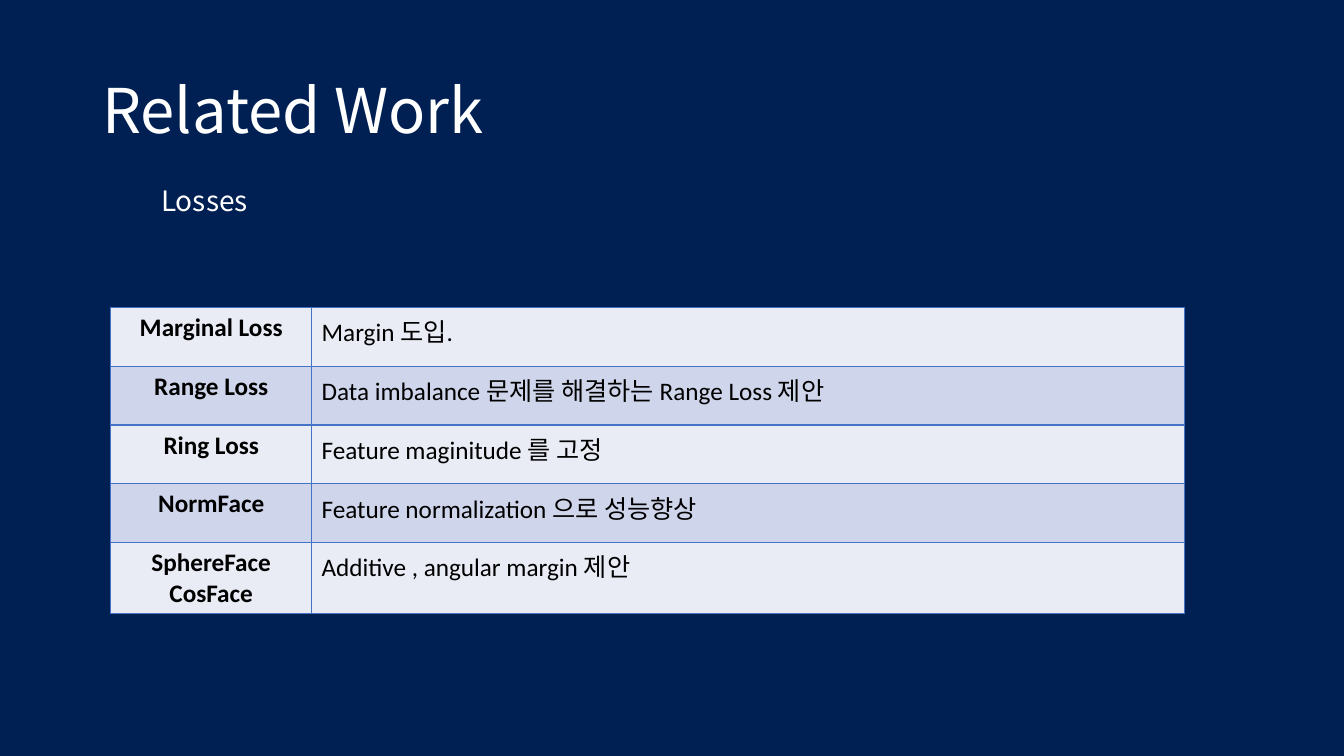
"""Build the Related Work slide with its table of losses."""
from lxml.etree import SubElement
from pptx import Presentation
from pptx.dml.color import RGBColor
from pptx.enum.text import MSO_ANCHOR, PP_ALIGN
from pptx.oxml.ns import qn
from pptx.util import Pt

TITLE = "Related Work"
SUBTITLE = "Losses"
LOSSES = [
    ("Marginal Loss", "Margin 도입."),
    ("Range Loss", "Data imbalance 문제를 해결하는 Range Loss 제안"),
    ("Ring Loss", "Feature maginitude 를 고정"),
    ("NormFace", "Feature normalization 으로 성능향상"),
    ("SphereFace\nCosFace", "Additive , angular margin 제안"),
]
COLORS = {
    "background": "001F53",
    "heading": "FFFFFF",
    "text": "000000",
    "border": "4472C4",
    "bands": ("E9EBF5", "CFD5EA"),
}
HEADING_FONT = "Noto Sans CJK KR"
TABLE_FONT = "Calibri"
TABLE_LEFT, TABLE_TOP = 79.2, 219.6
COLUMN_WIDTHS = (143.4, 623.6)
ROW_HEIGHT = 42
BORDER_WIDTH = 1


def style(paragraph, font_name, size, color, bold=False):
    font = paragraph.font
    font.name, font.size, font.bold = font_name, Pt(size), bold
    font.color.rgb = RGBColor.from_string(color)
    properties = paragraph._p.pPr.find(qn("a:defRPr"))
    SubElement(properties, qn("a:ea"), typeface=HEADING_FONT)


def add_heading(slide, text, box, size, wrap, anchor, line_spacing):
    shape = slide.shapes.add_textbox(*map(Pt, box))
    frame = shape.text_frame
    frame.word_wrap, frame.vertical_anchor = wrap, anchor
    frame.text = text
    paragraph = frame.paragraphs[0]
    paragraph.line_spacing = line_spacing
    style(paragraph, HEADING_FONT, size, COLORS["heading"])


def add_borders(cell):
    properties = cell._tc.get_or_add_tcPr()
    for side in ("lnL", "lnR", "lnT", "lnB"):
        line = SubElement(properties, qn(f"a:{side}"), w=str(Pt(BORDER_WIDTH)))
        fill = SubElement(line, qn("a:solidFill"))
        SubElement(fill, qn("a:srgbClr"), val=COLORS["border"])


def add_loss_table(slide):
    shape = slide.shapes.add_table(
        len(LOSSES), len(COLUMN_WIDTHS), Pt(TABLE_LEFT), Pt(TABLE_TOP),
        Pt(sum(COLUMN_WIDTHS)), Pt(ROW_HEIGHT * len(LOSSES)))
    table = shape.table
    table.first_row = table.horz_banding = False
    for column, width in zip(table.columns, COLUMN_WIDTHS):
        column.width = Pt(width)
    for row_index, loss in enumerate(LOSSES):
        band = COLORS["bands"][row_index % 2]
        for column_index, text in enumerate(loss):
            is_name = column_index == 0
            cell = table.cell(row_index, column_index)
            add_borders(cell)
            cell.fill.solid()
            cell.fill.fore_color.rgb = RGBColor.from_string(band)
            cell.text = text
            for paragraph in cell.text_frame.paragraphs:
                paragraph.alignment = PP_ALIGN.CENTER if is_name else PP_ALIGN.LEFT
                style(paragraph, TABLE_FONT, 18, COLORS["text"], is_name)


def main():
    presentation = Presentation()
    presentation.slide_width, presentation.slide_height = Pt(960), Pt(540)
    slide = presentation.slides.add_slide(presentation.slide_layouts[6])
    background = slide.background.fill
    background.solid()
    background.fore_color.rgb = RGBColor.from_string(COLORS["background"])
    add_heading(slide, TITLE, (66, 28.8, 828, 104.4), 44, True, MSO_ANCHOR.MIDDLE, 0.9)
    add_heading(slide, SUBTITLE, (108, 127.4, 80.6, 31.5), 20, False, MSO_ANCHOR.TOP, 1.0)
    add_loss_table(slide)
    presentation.save("out.pptx")


if __name__ == "__main__":
    main()
